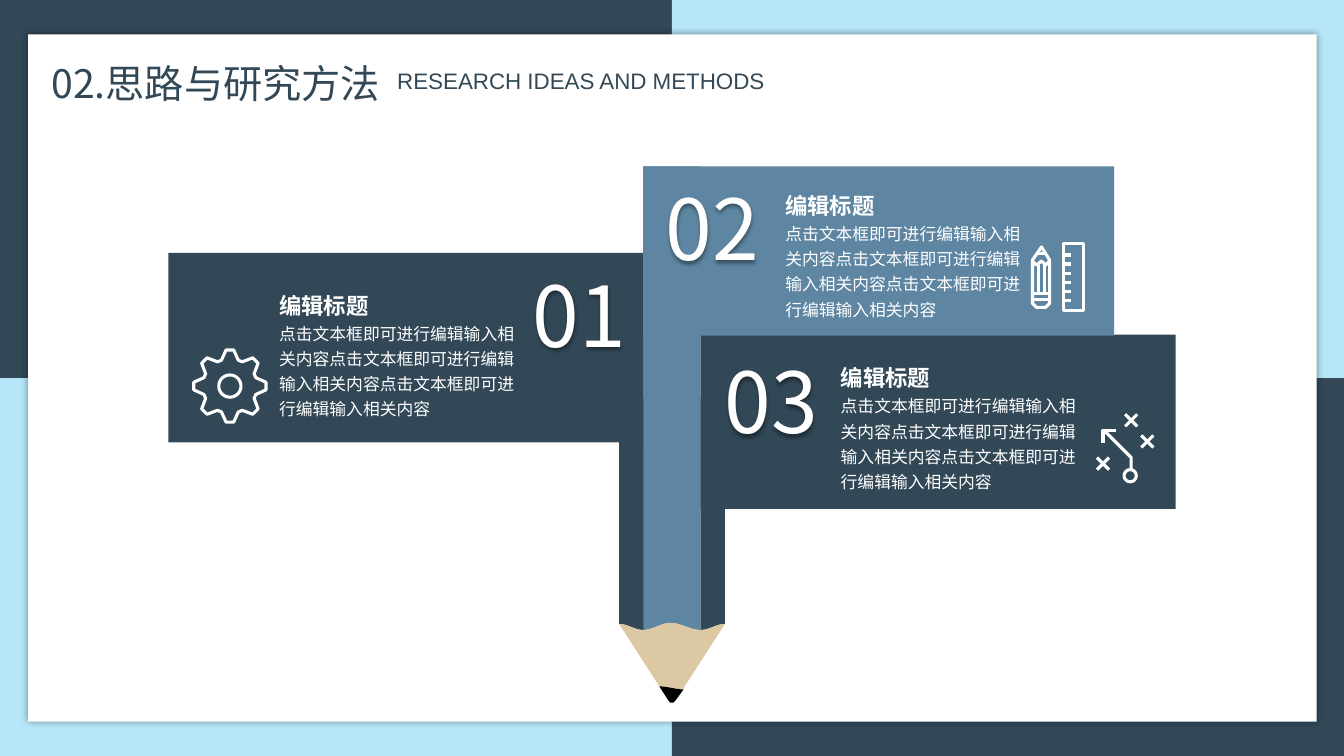
import math

import pptx
import pptx.dml.color
import pptx.enum.shapes
import pptx.enum.text
import pptx.oxml
import pptx.oxml.ns
import pptx.util

PX = 9144  # EMU per px, 100 px to the inch
SLIDE_W, SLIDE_H = 1333, 750
NAVY, SKY, STEEL, WOOD = "324857", "B6E6F7", "5E86A2", "DCC9A4"
WHITE, BLACK = "FFFFFF", "000000"
CJK, LATIN = "Noto Sans CJK SC", "Arial"
ICON_STROKE = 2.2

TITLE = "02.思路与研究方法"
SUBTITLE = "RESEARCH IDEAS AND METHODS"
HEADING = "编辑标题"
BODY = "点击文本框即可进行编辑输入相关内容" * 3
# banner box, fill, number, number position, number alignment, heading position
BANNERS = [
    ((167, 251, 471, 188), NAVY, "01", (431, 261), "RIGHT", (267, 285)),
    ((695, 332, 471, 173), NAVY, "03", (719, 347), "LEFT", (824, 357)),
    ((638, 165, 467, 168), STEEL, "02", (660, 175), "LEFT", (769, 186)),
]

PENCIL_EDGE = [(614, 619), (638, 625), (665, 618), (695, 625), (719, 619)]
LEAD_POINT = [(670, 695), (668, 697), (665, 697), (663, 695)]

GEAR_CENTRE = (228, 383)
GEAR_TOOTH = [(-6, 36), (6, 36), (18, 27), (27, 27)]  # degrees, radius
GEAR_TEETH, GEAR_HOLE = 8, 11

PENCIL_OUTLINE = [(1033, 245), (1041, 258), (1041, 301), (1037, 305), (1028, 305),
                  (1024, 301), (1024, 258), (1033, 245)]
PENCIL_DETAILS = [
    [(1024, 259), (1028, 263), (1033, 259), (1037, 263), (1041, 259)],
    [(1029, 252), (1037, 252)],
    [(1030, 263), (1030, 291)],
    [(1036, 263), (1036, 291)],
    [(1024, 291), (1041, 291)],
    [(1024, 297), (1041, 297)],
]
RULER_LEFT, RULER_TOP, RULER_RIGHT, RULER_BOTTOM = 1055, 242, 1075, 308
RULER_TICKS, TICK_STEP, TICK_LENGTH = 6, 9, 7

ROUTE = [(1122, 466), (1122, 454), (1095, 427)]
ROUTE_HEAD = [(1107, 427), (1094, 427), (1094, 440)]
ROUTE_START, ROUTE_RADIUS = (1121, 472), 6
CROSSES, CROSS_ARM = [(1094, 460), (1138, 438), (1122, 417)], 6

deck = pptx.Presentation()
deck.slide_width, deck.slide_height = SLIDE_W * PX, SLIDE_H * PX
slide = deck.slides.add_slide(deck.slide_layouts[5])
shapes = slide.shapes


def px(*lengths):
    return [round(length * PX) for length in lengths]


def rgb(colour):
    return pptx.dml.color.RGBColor.from_string(colour)


def paint(shape, fill=None, line=None):
    shape.shadow.inherit = False
    if fill:
        shape.fill.solid()
        shape.fill.fore_color.rgb = rgb(fill)
    else:
        shape.fill.background()
    if line:
        shape.line.color.rgb = rgb(line)
        shape.line.width = pptx.util.Pt(ICON_STROKE)
    else:
        shape.line.fill.background()
    return shape


def preset(kind, box, fill=None):
    kind = getattr(pptx.enum.shapes.MSO_SHAPE, kind)
    return paint(shapes.add_shape(kind, *px(*box)), fill)


def outline(strokes, fill=None, line=None):
    """Draw one freeform from several strokes; a stroke ending at its start is closed."""
    builder = shapes.build_freeform(*px(*strokes[0][0]), scale=1.0)
    for index, stroke in enumerate(strokes):
        corners = [px(*point) for point in stroke]
        if index:
            builder.move_to(*corners[0])
        builder.add_line_segments(corners[1:], close=corners[0] == corners[-1])
    return paint(builder.convert_to_shape(), fill, line)


def cast_shadow(shape, blur, distance):
    """Add a soft 40 % black shadow; blur and distance in points, falling down."""
    shape.shadow.inherit = False
    effects = shape._element.spPr.find(pptx.oxml.ns.qn("a:effectLst"))
    effects.append(pptx.oxml.parse_xml(
        f'<a:outerShdw {pptx.oxml.ns.nsdecls("a")} blurRad="{blur * 12700}" '
        f'dist="{distance * 12700}" dir="5400000" algn="ctr" rotWithShape="0">'
        '<a:srgbClr val="000000"><a:alpha val="40000"/></a:srgbClr></a:outerShdw>'))


def write(shape, text, size, colour, font=CJK, leading=None, bold=False,
          align="LEFT", anchor="TOP"):
    frame = shape.text_frame
    frame.text = text
    frame.word_wrap = True
    frame.auto_size = pptx.enum.text.MSO_AUTO_SIZE.NONE
    frame.vertical_anchor = getattr(pptx.enum.text.MSO_ANCHOR, anchor)
    paragraph = frame.paragraphs[0]
    paragraph.alignment = getattr(pptx.enum.text.PP_ALIGN, align)
    if leading:
        paragraph.line_spacing = pptx.util.Pt(leading)
    paragraph.font.name = font
    paragraph.font.size = pptx.util.Pt(size)
    paragraph.font.bold = bold
    paragraph.font.color.rgb = rgb(colour)
    for defaults in paragraph._p.xpath("a:pPr/a:defRPr"):
        defaults.append(pptx.oxml.parse_xml(
            f'<a:ea {pptx.oxml.ns.nsdecls("a")} typeface="{font}"/>'))


def text_box(box, *args, **kwargs):
    shape = shapes.add_textbox(*px(*box))
    write(shape, *args, **kwargs)
    return shape


def ease(start, end, steps=12):
    """Points of an S-curve that is level at both ends."""
    (x0, y0), (x1, y1) = start, end
    shares = [step / steps for step in range(steps + 1)]
    return [(x0 + (x1 - x0) * t, y0 + (y1 - y0) * (1 - math.cos(math.pi * t)) / 2)
            for t in shares]


def polar(centre, degrees, radius):
    angle = math.radians(degrees)
    return centre[0] + radius * math.sin(angle), centre[1] - radius * math.cos(angle)


def ring(centre, radius):
    return [polar(centre, degrees, radius) for degrees in range(0, 361, 10)]


def stripe(curve, top, fill):
    outline([[(curve[0][0], top), *curve, (curve[-1][0], top), (curve[0][0], top)]], fill)


# Background and title
half_w, half_h = SLIDE_W / 2, SLIDE_H / 2
for column in range(2):
    for row in range(2):
        preset("RECTANGLE", (column * half_w, row * half_h, half_w, half_h),
               NAVY if column == row else SKY)
panel = preset("RECTANGLE", (28, 34, 1278, 682), WHITE)
cast_shadow(panel, 5, 0)

title = shapes.title
title.left, title.top, title.width, title.height = px(41, 19, 415, 91)
write(title, TITLE, 28, NAVY, leading=59)
panel._element.addnext(title._element)
subtitle = preset("SNIP_1_RECTANGLE", (378, 62, 549, 36))
subtitle.adjustments[0] = 0
write(subtitle, SUBTITLE, 16, NAVY, font=LATIN, anchor="MIDDLE")
subtitle.text_frame.margin_left = 16 * PX

# Pencil
waves = [ease(*ends) for ends in zip(PENCIL_EDGE, PENCIL_EDGE[1:])]
stripe(waves[1] + waves[2], 165, STEEL)
stripe(waves[0], 395, NAVY)
stripe(waves[3], 395, NAVY)
for edge, fill in ((sum(waves, []), WOOD), (ease((654, 681), (678, 684)), BLACK)):
    outline([edge + LEAD_POINT + edge[:1]], fill)

# Banners
for box, fill, *_ in BANNERS:
    preset("RECTANGLE", box, fill)
for _, _, number, number_at, align, (left, top) in BANNERS:
    numeral = text_box((*number_at, 190, 100), number, 60, WHITE, leading=72, align=align)
    frame = numeral.text_frame
    frame.margin_left = frame.margin_right = frame.margin_top = frame.margin_bottom = 0
    cast_shadow(numeral, 3, 2)
    text_box((left, top + 26, 254, 109), BODY, 12, WHITE, leading=18)
    text_box((left, top, 142, 36), HEADING, 16, WHITE, leading=19, bold=True)

# Icons
gear = [polar(GEAR_CENTRE, degrees + tooth * 360 / GEAR_TEETH, radius)
        for tooth in range(GEAR_TEETH) for degrees, radius in GEAR_TOOTH]
outline([gear + gear[:1], ring(GEAR_CENTRE, GEAR_HOLE)], line=WHITE)

ruler = [(RULER_LEFT, RULER_TOP), (RULER_RIGHT, RULER_TOP), (RULER_RIGHT, RULER_BOTTOM),
         (RULER_LEFT, RULER_BOTTOM), (RULER_LEFT, RULER_TOP)]
tick_heights = [RULER_TOP + 11 + tick * TICK_STEP for tick in range(RULER_TICKS)]
ticks = [[(RULER_LEFT, y), (RULER_LEFT + TICK_LENGTH, y)] for y in tick_heights]
outline([PENCIL_OUTLINE, *PENCIL_DETAILS, ruler, *ticks], line=WHITE)

crosses = [[(x - CROSS_ARM, y - slope), (x + CROSS_ARM, y + slope)]
           for x, y in CROSSES for slope in (CROSS_ARM, -CROSS_ARM)]
outline([ROUTE, ROUTE_HEAD, ring(ROUTE_START, ROUTE_RADIUS), *crosses], line=WHITE)

deck.save("out.pptx")
